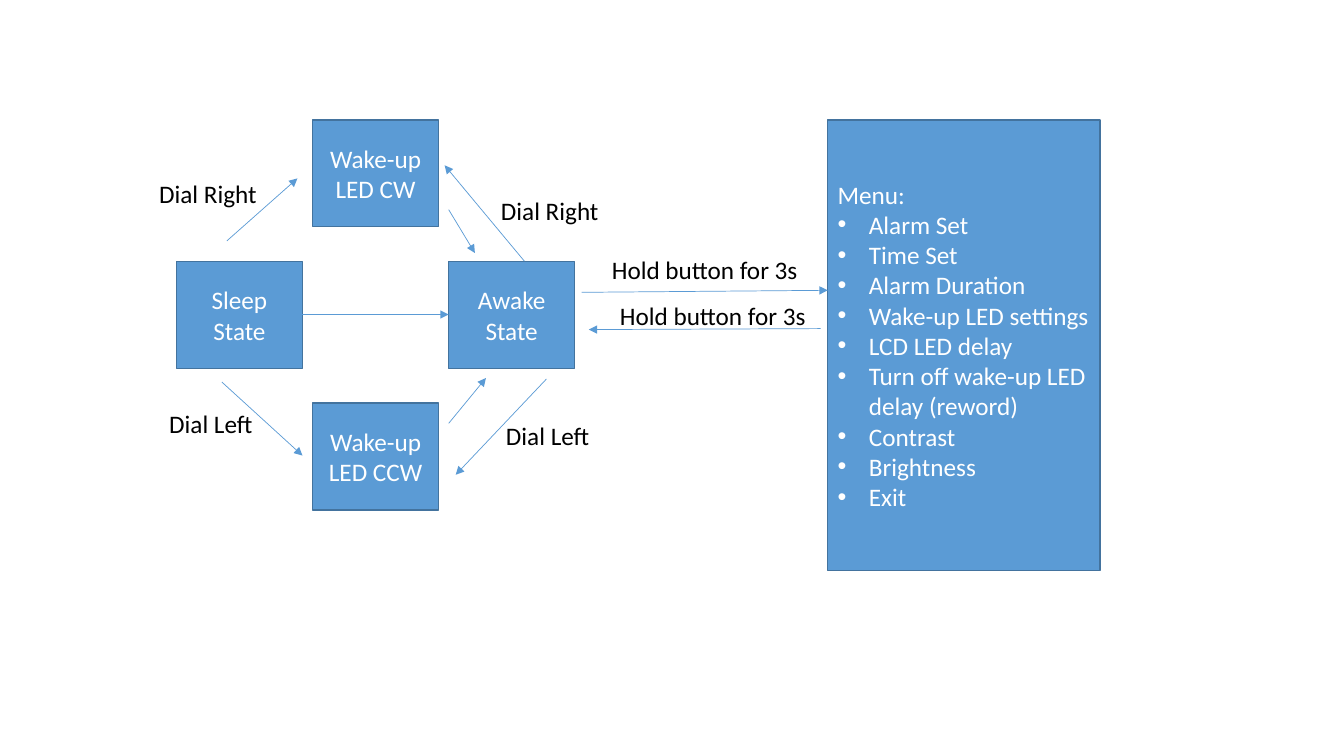
"""Build a slide with the state diagram of an alarm clock and its menu."""
from typing import NamedTuple

from lxml import etree
from pptx import Presentation
from pptx.dml.color import RGBColor
from pptx.enum.shapes import MSO_CONNECTOR, MSO_SHAPE
from pptx.enum.text import MSO_ANCHOR, PP_ALIGN
from pptx.oxml.ns import qn
from pptx.util import Inches, Pt

RECTANGLE = MSO_SHAPE.RECTANGLE
STRAIGHT = MSO_CONNECTOR.STRAIGHT
MIDDLE = MSO_ANCHOR.MIDDLE
LEFT, CENTER = PP_ALIGN.LEFT, PP_ALIGN.CENTER

BLUE, DARK_BLUE, WHITE, BLACK = "5B9BD5", "43739E", "FFFFFF", "000000"
STATE_WIDTH, STATE_HEIGHT = 1.25, 1.06
COLUMNS = [1.75 + 1.35 * index for index in range(3)]
ROWS = [1.19 + 1.405 * index for index in range(3)]
LABEL_HEIGHT = 0.4
BULLET_INDENT = 0.31


class State(NamedTuple):
    text: str
    column: int
    row: int


class Label(NamedTuple):
    text: str
    left: float
    top: float
    width: float


class Arrow(NamedTuple):
    start_x: float
    start_y: float
    end_x: float
    end_y: float


STATES = [
    State("Sleep State", 0, 1),
    State("Awake State", 2, 1),
    State("Wake-up LED CW", 1, 0),
    State("Wake-up LED CCW", 1, 2),
]
ARROWS = [
    Arrow(3, 3.12, 4.45, 3.12),
    Arrow(2.25, 2.39, 2.95, 1.77),
    Arrow(2.2, 3.79, 3, 4.52),
    Arrow(4.45, 4.2, 4.82, 3.75),
    Arrow(5.42, 3.76, 4.52, 4.71),
    Arrow(4.45, 2.08, 4.71, 2.51),
    Arrow(5.2, 2.59, 4.41, 1.64),
    Arrow(5.77, 2.9, 8.21, 2.88),
    Arrow(8.14, 3.26, 5.84, 3.27),
]
LABELS = [
    Label("Dial Right", 1.48, 1.72, 1.25),
    Label("Dial Left", 1.58, 4, 1.36),
    Label("Dial Left", 4.92, 4.12, 1.11),
    Label("Dial Right", 4.87, 1.89, 1.28),
    Label("Hold button for 3s", 5.97, 2.47, 2.14),
    Label("Hold button for 3s", 6.05, 2.93, 2.14),
]
MENU_ITEMS = [
    "Alarm Set", "Time Set", "Alarm Duration", "Wake-up LED settings",
    "LCD LED delay", "Turn off wake-up LED delay (reword)", "Contrast",
    "Brightness", "Exit",
]


def rgb(value: str) -> RGBColor:
    """Turn a hex string into a colour."""
    return RGBColor.from_string(value)


def write(paragraph, text: str, *, color: str, align=LEFT, bullet: bool = False) -> None:
    """Put formatted text into a paragraph."""
    paragraph.alignment = align
    run = paragraph.add_run()
    run.text = text
    run.font.name = "Calibri"
    run.font.size = Pt(18)
    run.font.color.rgb = rgb(color)
    if bullet:
        properties = paragraph._p.get_or_add_pPr()
        properties.set("marL", str(Inches(BULLET_INDENT)))
        properties.set("indent", str(-Inches(BULLET_INDENT)))
        etree.SubElement(properties, qn("a:buFont"), typeface="Arial")
        etree.SubElement(properties, qn("a:buChar"), char="•")


def add_box(slide, left: float, top: float, width: float, height: float):
    """Draw a blue box and return its text frame."""
    shape = slide.shapes.add_shape(
        RECTANGLE, Inches(left), Inches(top), Inches(width), Inches(height))
    shape.shadow.inherit = False
    shape.fill.solid()
    shape.fill.fore_color.rgb = rgb(BLUE)
    shape.line.color.rgb = rgb(DARK_BLUE)
    shape.line.width = Pt(1)
    shape.text_frame.word_wrap = True
    shape.text_frame.vertical_anchor = MIDDLE
    return shape.text_frame


def add_state(slide, state: State) -> None:
    """Draw a state in its grid cell."""
    frame = add_box(slide, COLUMNS[state.column], ROWS[state.row], STATE_WIDTH, STATE_HEIGHT)
    write(frame.paragraphs[0], state.text, color=WHITE, align=CENTER)


def add_menu(slide) -> None:
    """Draw the menu box with its bulleted items."""
    frame = add_box(slide, 8.21, ROWS[0], 2.7, 4.47)
    write(frame.paragraphs[0], "Menu:", color=WHITE)
    for item in MENU_ITEMS:
        write(frame.add_paragraph(), item, color=WHITE, bullet=True)


def add_arrow(slide, arrow: Arrow) -> None:
    """Draw a thin line with a triangle at its end."""
    connector = slide.shapes.add_connector(STRAIGHT, *map(Inches, arrow))
    connector.line.color.rgb = rgb(BLUE)
    connector.line.width = Pt(0.5)
    etree.SubElement(connector.line._get_or_add_ln(), qn("a:tailEnd"), type="triangle")
    etree.SubElement(connector._element.spPr, qn("a:effectLst"))


def add_label(slide, label: Label) -> None:
    """Write the action beside an arrow."""
    box = slide.shapes.add_textbox(
        Inches(label.left), Inches(label.top), Inches(label.width), Inches(LABEL_HEIGHT))
    box.text_frame.word_wrap = True
    write(box.text_frame.paragraphs[0], label.text, color=BLACK)


def main() -> None:
    """Build and save the presentation."""
    presentation = Presentation()
    presentation.slide_width = Inches(13.33)
    presentation.slide_height = Inches(7.5)
    slide = presentation.slides.add_slide(presentation.slide_layouts[6])
    for state in STATES:
        add_state(slide, state)
    add_menu(slide)
    for arrow in ARROWS:
        add_arrow(slide, arrow)
    for label in LABELS:
        add_label(slide, label)
    presentation.save("out.pptx")


main()
